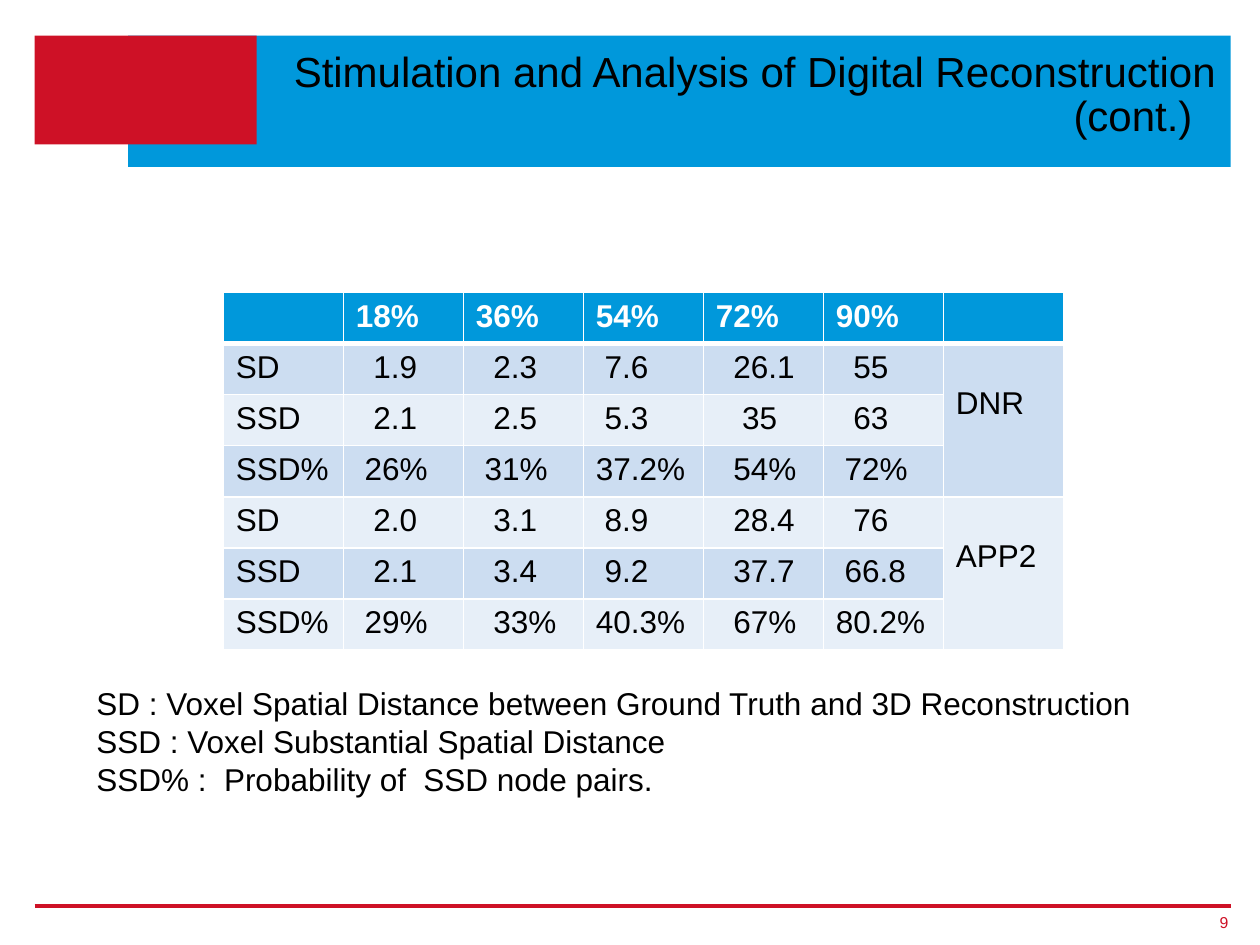
from dataclasses import dataclass

from lxml import etree
from pptx import Presentation
from pptx.dml.color import RGBColor
from pptx.enum.shapes import MSO_CONNECTOR, MSO_SHAPE
from pptx.enum.text import MSO_ANCHOR, PP_ALIGN
from pptx.oxml.ns import qn
from pptx.util import Pt

RECTANGLE = MSO_SHAPE.RECTANGLE
STRAIGHT = MSO_CONNECTOR.STRAIGHT
RIGHT = PP_ALIGN.RIGHT
LEFT = PP_ALIGN.LEFT
TOP, MIDDLE, BOTTOM = MSO_ANCHOR.TOP, MSO_ANCHOR.MIDDLE, MSO_ANCHOR.BOTTOM
TITLE_ONLY = 5


@dataclass(frozen=True)
class Theme:
    font: str = "Arial"
    blue: str = "0098DB"
    red: str = "CE1126"
    black: str = "000000"
    white: str = "FFFFFF"
    band_dark: str = "CCDDF1"
    band_light: str = "E7EFF8"
    title_size: float = 24
    text_size: float = 18
    number_size: float = 9


@dataclass(frozen=True)
class Box:
    left: float
    top: float
    width: float
    height: float

    def lengths(self) -> tuple:
        return Pt(self.left), Pt(self.top), Pt(self.width), Pt(self.height)


@dataclass(frozen=True)
class Measure:
    name: str
    values: tuple
    indents: tuple  # left indent of each value, in steps


@dataclass(frozen=True)
class Method:
    name: str
    measures: tuple


THEME = Theme()
CELL_MARGIN, INDENT_STEP, LABEL_MARGIN = 7.2, 5, 24.3
ROW_HEIGHT, TABLE_BOX = 29.24, Box(127.6, 167, 480, 204.7)
THIN, THICK = 1, 3

LEVELS = ("18%", "36%", "54%", "72%", "90%")
METHODS = (
    Method("DNR", (
        Measure("SD", ("1.9", "2.3", "7.6", "26.1", "55"), (2, 2, 1, 2, 2)),
        Measure("SSD", ("2.1", "2.5", "5.3", "35", "63"), (2, 2, 1, 3, 2)),
        Measure("SSD%", ("26%", "31%", "37.2%", "54%", "72%"), (1, 1, 0, 2, 1)),
    )),
    Method("APP2", (
        Measure("SD", ("2.0", "3.1", "8.9", "28.4", "76"), (2, 2, 1, 2, 2)),
        Measure("SSD", ("2.1", "3.4", "9.2", "37.7", "66.8"), (2, 2, 1, 2, 1)),
        Measure("SSD%", ("29%", "33%", "40.3%", "67%", "80.2%"), (1, 2, 0, 2, 0)),
    )),
)
LEGEND = (
    "SD : Voxel Spatial Distance between Ground Truth and 3D Reconstruction\n"
    "SSD : Voxel Substantial Spatial Distance\n"
    "SSD% :  Probability of  SSD node pairs."
)


def rgb(color: str) -> RGBColor:
    return RGBColor.from_string(color)


def write(text_frame, text: str, size: float, color: str,
          bold: bool = False, alignment=LEFT) -> None:
    text_frame.text = text
    for paragraph in text_frame.paragraphs:
        paragraph.alignment = alignment
        for run in paragraph.runs:
            run.font.name = THEME.font
            run.font.size = Pt(size)
            run.font.bold = bold
            run.font.color.rgb = rgb(color)


def add_bar(slide, box: Box, color: str) -> None:
    bar = slide.shapes.add_shape(RECTANGLE, *box.lengths())
    bar.shadow.inherit = False
    bar.fill.solid()
    bar.fill.fore_color.rgb = rgb(color)
    bar.line.fill.background()
    # Bars lie behind the title
    slide.shapes.title.element.addprevious(bar.element)


def add_rule(slide, left: float, right: float, top: float) -> None:
    rule = slide.shapes.add_connector(STRAIGHT, Pt(left), Pt(top), Pt(right), Pt(top))
    rule.line.color.rgb = rgb(THEME.red)
    rule.line.width = Pt(2.25)
    etree.SubElement(rule.element.spPr, qn("a:effectLst"))


def add_text(slide, box: Box, text: str, size: float, color: str,
             alignment=LEFT, anchor=TOP, inset: bool = True) -> None:
    text_frame = slide.shapes.add_textbox(*box.lengths()).text_frame
    text_frame.word_wrap = True
    text_frame.vertical_anchor = anchor
    if not inset:
        text_frame.margin_left = text_frame.margin_right = Pt(0)
        text_frame.margin_top = text_frame.margin_bottom = Pt(0)
    write(text_frame, text, size, color, alignment=alignment)


def format_cell(cell, fill: str, top: float = THIN, bottom: float = THIN) -> None:
    properties = cell._tc.get_or_add_tcPr()
    for side, width in (("L", THIN), ("R", THIN), ("T", top), ("B", bottom)):
        border = etree.SubElement(properties, qn(f"a:ln{side}"), w=str(Pt(width)))
        solid = etree.SubElement(border, qn("a:solidFill"))
        etree.SubElement(solid, qn("a:srgbClr"), val=THEME.white)
    cell.fill.solid()
    cell.fill.fore_color.rgb = rgb(fill)


def add_results(slide) -> None:
    row_count = 1 + sum(len(method.measures) for method in METHODS)
    column_count = len(LEVELS) + 2
    table = slide.shapes.add_table(row_count, column_count, *TABLE_BOX.lengths()).table
    for column in table.columns:
        column.width = Pt(TABLE_BOX.width / column_count)
    for row in table.rows:
        row.height = Pt(ROW_HEIGHT)

    # Header row
    for index, text in enumerate(("", *LEVELS, "")):
        cell = table.cell(0, index)
        format_cell(cell, THEME.blue, bottom=THICK)
        write(cell.text_frame, text, THEME.text_size, THEME.white, bold=True)

    # One band per measure, one merged label per method
    row_index = 1
    for method in METHODS:
        first_row = row_index
        for measure in method.measures:
            fill = THEME.band_dark if row_index % 2 else THEME.band_light
            top = THICK if row_index == 1 else THIN
            texts = (measure.name, *measure.values, "")
            indents = (0, *measure.indents, 0)
            for index, (text, indent) in enumerate(zip(texts, indents)):
                cell = table.cell(row_index, index)
                format_cell(cell, fill, top=top)
                cell.margin_left = Pt(CELL_MARGIN + indent * INDENT_STEP)
                if indent:
                    cell.margin_right = Pt(0)
                write(cell.text_frame, text, THEME.text_size, THEME.black)
            row_index += 1
        label = table.cell(first_row, column_count - 1)
        label.merge(table.cell(row_index - 1, column_count - 1))
        label.margin_top = Pt(LABEL_MARGIN)
        write(label.text_frame, method.name, THEME.text_size, THEME.black)


def add_title(slide, box: Box, text: str) -> None:
    title = slide.shapes.title
    title.left, title.top, title.width, title.height = box.lengths()
    text_frame = title.text_frame
    text_frame.word_wrap = True
    text_frame.vertical_anchor = BOTTOM
    write(text_frame, text, THEME.title_size, THEME.black, alignment=RIGHT)
    text_frame.paragraphs[0].line_spacing = Pt(25)


def main() -> None:
    presentation = Presentation()
    presentation.slide_width, presentation.slide_height = Pt(720), Pt(540)
    slide = presentation.slides.add_slide(presentation.slide_layouts[TITLE_ONLY])

    # Banner and title
    add_bar(slide, Box(73.2, 20.4, 630, 75), THEME.blue)
    add_bar(slide, Box(19.8, 20.4, 126.8, 62.2), THEME.red)
    add_title(slide, Box(147.6, 33.8, 554.4, 49.7),
              "Stimulation and Analysis of Digital Reconstruction (cont.)  ")

    # Results and legend
    add_results(slide)
    add_text(slide, Box(48, 387.4, 611.3, 72.7), LEGEND, THEME.text_size, THEME.black)

    # Footer
    add_rule(slide, 19.8, 703.2, 517.7)
    add_text(slide, Box(682.6, 518.6, 19.4, 16.6), "9", THEME.number_size, THEME.red,
             alignment=RIGHT, anchor=MIDDLE, inset=False)

    presentation.save("out.pptx")


if __name__ == "__main__":
    main()
